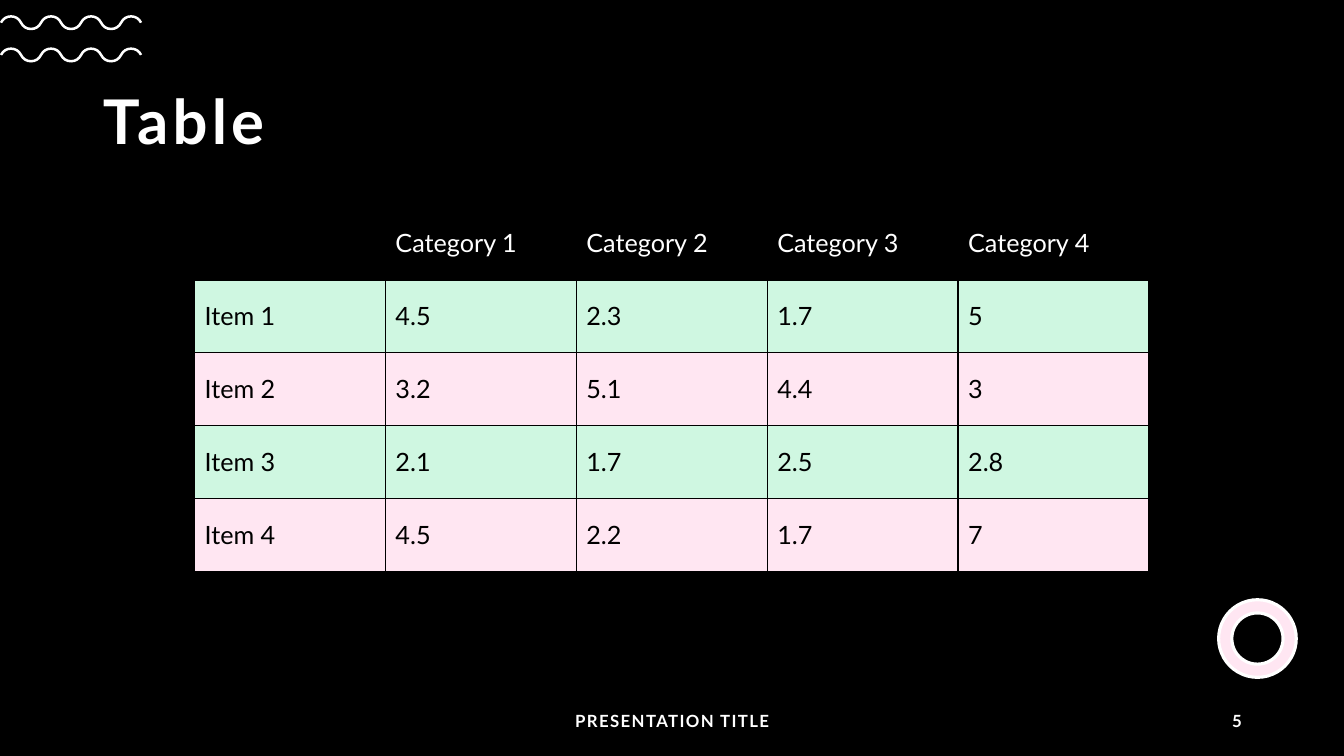
import math
from dataclasses import dataclass

from lxml import etree
from pptx import Presentation
from pptx.dml.color import RGBColor
from pptx.enum import shapes, text
from pptx.oxml import ns
from pptx.util import Inches, Pt


@dataclass(frozen=True)
class Theme:
    font: str = "Lato"
    black: RGBColor = RGBColor(0x00, 0x00, 0x00)
    white: RGBColor = RGBColor(0xFF, 0xFF, 0xFF)
    mint: RGBColor = RGBColor(0xCF, 0xF7, 0xE1)
    pink: RGBColor = RGBColor(0xFF, 0xE6, 0xF2)
    title_size: int = 44
    table_size: int = 18
    footer_size: int = 12


THEME = Theme()
TABLE_ROWS = [
    ["", "Category 1", "Category 2", "Category 3", "Category 4"],
    ["Item 1", "4.5", "2.3", "1.7", "5"],
    ["Item 2", "3.2", "5.1", "4.4", "3"],
    ["Item 3", "2.1", "1.7", "2.5", "2.8"],
    ["Item 4", "4.5", "2.2", "1.7", "7"],
]


def place(shape, box):
    shape.left, shape.top, shape.width, shape.height = map(Inches, box)


def format_font(paragraph, size, color, bold=False):
    font = paragraph.font
    font.name, font.size, font.bold = THEME.font, Pt(size), bold
    font.color.rgb = color


def write_spaced(shape, words, size, alignment, spacing):
    """Write one bold, letter-spaced line, centred vertically in its shape."""
    frame = shape.text_frame
    frame.word_wrap = True
    frame.vertical_anchor = text.MSO_ANCHOR.MIDDLE
    paragraph = frame.paragraphs[0]
    paragraph.alignment = alignment
    run = paragraph.add_run()
    run.text = words
    run.font._element.set("spc", str(spacing * 100))
    format_font(paragraph, size, THEME.white, bold=True)
    return paragraph


def add_title(slide, words, box):
    title = slide.shapes.title
    place(title, box)
    paragraph = write_spaced(title, words, THEME.title_size, text.PP_ALIGN.LEFT, 3)
    paragraph.line_spacing = 0.9


def add_footer_text(slide, words, box, alignment):
    footer = slide.shapes.add_textbox(*map(Inches, box))
    write_spaced(footer, words, THEME.footer_size, alignment, 1)


def wave_edge(box, offset):
    """Return (x, y, slope) at each quarter wave, offset along the normal."""
    left, top, width, height = box
    quarters, end_inset, thickness = 14, 0.01, 0.025
    amplitude = (height - thickness) / 2
    nodes = []
    for quarter in range(quarters + 1):
        angle = quarter * math.pi / 2
        slope = -2 * round(math.cos(angle))
        shift = offset * thickness / 2 / math.hypot(1, slope)
        x = left + end_inset + (width - 2 * end_inset) * quarter / quarters
        y = top + height / 2 - amplitude * math.sin(angle)
        nodes.append((Inches(x - shift * slope), Inches(y + shift), slope))
    return nodes


def curve_handle(node, other):
    x, y, slope = node
    reach = (other[0] - x) * (0.2 if slope else 0.45)
    return x + reach, y + reach * slope


def add_wave(slide, box):
    """Draw a wavy ribbon with one curve for each quarter wave of an edge."""
    upper, lower = wave_edge(box, -1), wave_edge(box, 1)[::-1]
    nodes = upper + lower
    builder = slide.shapes.build_freeform(*nodes[0][:2], scale=1)
    builder.add_line_segments([node[:2] for node in nodes[1:]], close=True)
    wave = builder.convert_to_shape()

    # Turn the straight sides into curves, except the cut at the right end
    lines = list(wave._element.iter(ns.qn("a:lnTo")))
    for index, (line, start, end) in enumerate(zip(lines, nodes, nodes[1:]), 1):
        if index == len(upper):
            continue
        line.tag = ns.qn("a:cubicBezTo")
        handles = curve_handle(start, end), curve_handle(end, start)
        for position, (x, y) in enumerate(handles):
            point = etree.Element(ns.qn("a:pt"), x=str(round(x - wave.left)),
                                  y=str(round(y - wave.top)))
            line.insert(position, point)

    wave.shadow.inherit = False
    wave.fill.solid()
    wave.fill.fore_color.rgb = THEME.white
    wave.line.fill.background()


def add_ring(slide, box):
    ring = slide.shapes.add_shape(shapes.MSO_SHAPE.DONUT, *map(Inches, box))
    ring.adjustments[0] = 0.17
    ring.shadow.inherit = False
    ring.fill.solid()
    ring.fill.fore_color.rgb = THEME.pink
    ring.line.color.rgb = THEME.white
    ring.line.width = Pt(2.25)


def set_borders(cell, bottom_width):
    properties = cell._tc.get_or_add_tcPr()
    widths = {"lnL": 1, "lnR": 1, "lnT": 1, "lnB": bottom_width}
    for index, (side, width) in enumerate(widths.items()):
        border = etree.Element(ns.qn(f"a:{side}"), w=str(Pt(width)))
        fill = etree.SubElement(border, ns.qn("a:solidFill"))
        etree.SubElement(fill, ns.qn("a:srgbClr"), val=str(THEME.black))
        properties.insert(index, border)


def add_data_table(slide, rows, box):
    frame = slide.shapes.add_table(len(rows), len(rows[0]), *map(Inches, box))
    for row_index, values in enumerate(rows):
        header = row_index == 0
        band = THEME.mint if row_index % 2 else THEME.pink
        for column_index, value in enumerate(values):
            cell = frame.table.cell(row_index, column_index)
            cell.text = value
            cell.vertical_anchor = text.MSO_ANCHOR.MIDDLE
            cell.fill.solid()
            cell.fill.fore_color.rgb = THEME.black if header else band
            set_borders(cell, 3 if header else 1)
            color = THEME.white if header else THEME.black
            format_font(cell.text_frame.paragraphs[0], THEME.table_size, color)


def build_table_slide(presentation):
    slide = presentation.slides.add_slide(presentation.slide_layouts[5])
    slide.background.fill.solid()
    slide.background.fill.fore_color.rgb = THEME.black

    # Corner decorations
    for top in (0.47, 0.15):
        add_wave(slide, (0, top, 1.41, 0.15))
    add_ring(slide, (12.09, 5.95, 0.77, 0.77))

    # Title and table
    add_title(slide, "Table", (0.92, 0.62, 11.5, 1.23))
    add_data_table(slide, TABLE_ROWS, (1.93, 2.05, 9.47, 3.62))

    # Footer and slide number
    add_footer_text(slide, "PRESENTATION TITLE", (4.42, 6.95, 4.5, 0.4),
                    text.PP_ALIGN.CENTER)
    add_footer_text(slide, "5", (9.42, 6.95, 3, 0.4), text.PP_ALIGN.RIGHT)


def main():
    presentation = Presentation()
    presentation.slide_width = Inches(40 / 3)
    presentation.slide_height = Inches(7.5)
    build_table_slide(presentation)
    presentation.save("out.pptx")


if __name__ == "__main__":
    main()
